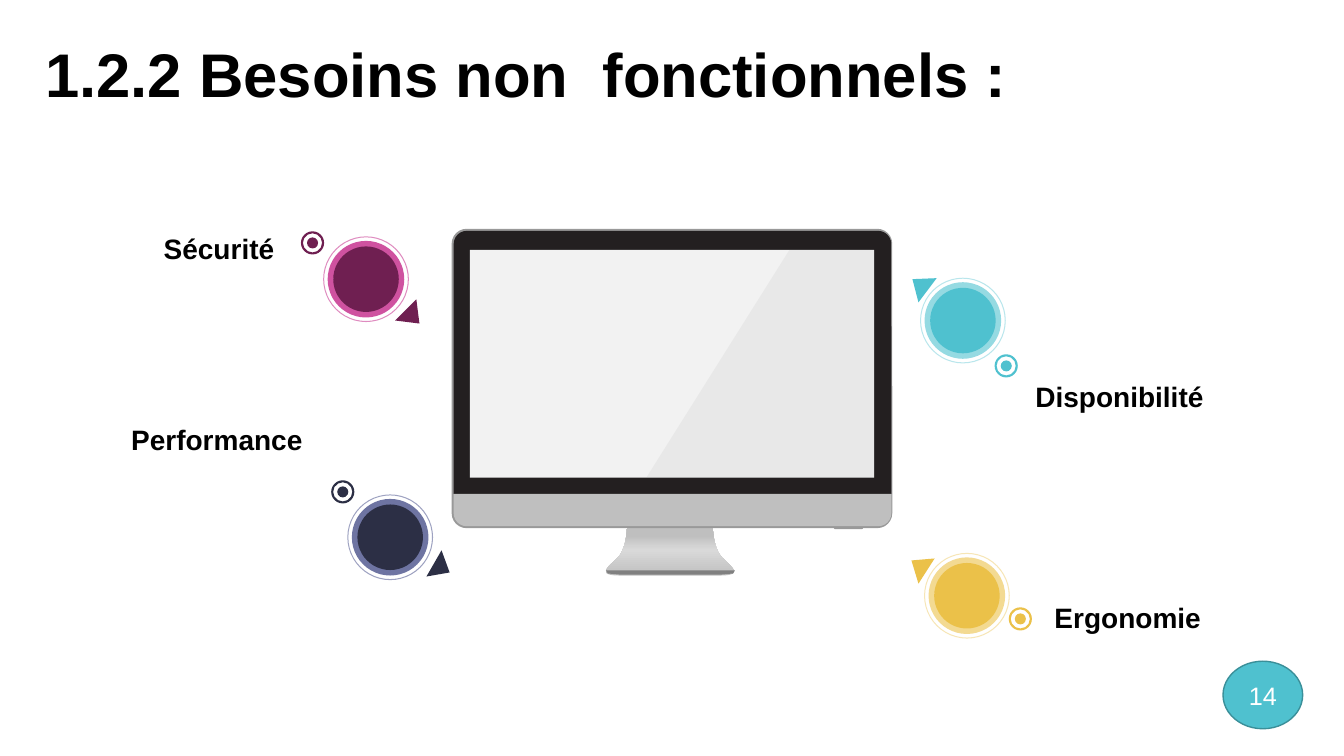
from lxml.etree import SubElement
from pptx import Presentation
from pptx.dml.color import RGBColor
from pptx.enum.shapes import MSO_SHAPE
from pptx.enum.text import MSO_ANCHOR, MSO_AUTO_SIZE, PP_ALIGN
from pptx.oxml.ns import qn
from pptx.util import Pt

EMU_PER_PX = 9144  # 100 px to the inch
FONT = "Arial"


def px(length):
    return round(length * EMU_PER_PX)


def color(hex_code):
    return RGBColor.from_string(hex_code)


def paint(shape, fill):
    shape.shadow.inherit = False
    shape.fill.solid()
    shape.fill.fore_color.rgb = color(fill)
    shape.line.fill.background()
    return shape


def add_preset(slide, preset, box, fill, adjustments=()):
    shape = slide.shapes.add_shape(preset, *map(px, box))
    for index, value in enumerate(adjustments):
        shape.adjustments[index] = value
    return paint(shape, fill)


def add_polygon(slide, points, fill):
    corners = [(px(x), px(y)) for x, y in points]
    builder = slide.shapes.build_freeform(*corners[0], scale=1.0)
    builder.add_line_segments(corners[1:], close=True)
    return paint(builder.convert_to_shape(), fill)


def add_disc(slide, center, diameter, fill, rim=0):
    """Centred circle; a rim width turns it into a ring."""
    x, y = center
    box = (x - diameter / 2, y - diameter / 2, diameter, diameter)
    if rim:
        return add_preset(slide, MSO_SHAPE.DONUT, box, fill, [rim / diameter])
    return add_preset(slide, MSO_SHAPE.OVAL, box, fill)


def write(frame, text, size, text_color, align=PP_ALIGN.LEFT, bold=False):
    paragraph = frame.paragraphs[0]
    paragraph.alignment = align
    run = paragraph.add_run()
    run.text = text
    run.font.name = FONT
    run.font.size = Pt(size)
    run.font.bold = bold
    run.font.color.rgb = color(text_color)
    return paragraph


def bezier(start, control1, control2, end, steps=12):
    """Points along a cubic curve, both ends included."""
    return [
        tuple((1 - t) ** 3 * a + 3 * (1 - t) ** 2 * t * b
              + 3 * (1 - t) * t ** 2 * c + t ** 3 * d
              for a, b, c, d in zip(start, control1, control2, end))
        for t in (step / steps for step in range(steps + 1))
    ]


def shade_vertically(shape, stops):
    """Gradient running from the bottom to the top."""
    shape.fill.gradient()
    shape.fill.gradient_angle = 90
    stop_list = shape.fill._fill._gradFill.find(qn("a:gsLst"))
    for stop in list(stop_list):
        stop_list.remove(stop)
    for percent, hex_code in stops:
        stop = SubElement(stop_list, qn("a:gs"), pos=str(percent * 1000))
        SubElement(stop, qn("a:srgbClr"), val=hex_code)


def set_opacity(shape, percent):
    tint = shape.fill._xPr.find(qn("a:solidFill")).find(qn("a:srgbClr"))
    SubElement(tint, qn("a:alpha"), val=str(percent * 1000))


def add_monitor(slide):
    left_flare = (bezier((622, 523), (622, 523), (622, 543), (613, 553))
                  + bezier((613, 553), (604, 562), (590, 571), (615, 571)))
    axis = 664.5
    right_flare = [(2 * axis - x, y) for x, y in reversed(left_flare)]
    stand = add_polygon(slide, left_flare + right_flare, "BFBFBF")
    shade_vertically(stand, [(0, "BFBFBF"), (53, "D9D9D9"), (83, "BFBFBF"), (100, "BFBFBF")])

    rounded_ends = MSO_SHAPE.ROUND_2_SAME_RECTANGLE
    add_preset(slide, MSO_SHAPE.ROUNDED_RECTANGLE, (448, 227, 437, 297), "999999", [0.05])
    add_preset(slide, rounded_ends, (827, 522, 29, 3), "999999", [0, 0.5])
    add_preset(slide, rounded_ends, (450, 229, 434, 261), "231F20", [0.05, 0])
    add_polygon(slide, [(601, 566), (729, 566), (727, 569), (716, 570), (614, 570), (603, 569)],
                "808080")
    add_preset(slide, rounded_ends, (450, 490, 434, 32), "BFBFBF", [0, 0.4])
    add_preset(slide, MSO_SHAPE.RECTANGLE, (466, 248, 401, 226), "F2F2F2")
    glare = add_polygon(slide, [(783, 248), (867, 248), (867, 474), (641, 474)], "999999")
    set_opacity(glare, 10)


def add_badge(slide, center, dot_center, pointer, main, band, halo):
    """Ringed disc with a pointer towards the monitor and a target dot."""
    add_disc(slide, center, 76, band, rim=6)
    add_disc(slide, center, 85, halo, rim=1)
    add_disc(slide, center, 65, main)
    add_polygon(slide, pointer, main)
    add_disc(slide, dot_center, 11, main)
    add_disc(slide, dot_center, 23, main, rim=2)


def add_label(slide, text, box, align):
    label = slide.shapes.add_textbox(*map(px, box))
    label.text_frame.word_wrap = False
    label.text_frame.auto_size = MSO_AUTO_SIZE.SHAPE_TO_FIT_TEXT
    write(label.text_frame, text, 20, "000000", align, bold=True)


def add_title(slide, text):
    title = slide.shapes.add_textbox(*map(px, (35, 37, 1266, 79)))
    title.text_frame.word_wrap = True
    title.text_frame.vertical_anchor = MSO_ANCHOR.MIDDLE
    write(title.text_frame, text, 44, "000000", bold=True).line_spacing = 0.9


def add_page_number(slide, number):
    bubble = add_preset(slide, MSO_SHAPE.OVAL, (1213, 656, 79, 67), "4FC1CF")
    bubble.line.color.rgb = color("3A8F99")
    bubble.line.width = Pt(1)
    bubble.text_frame.vertical_anchor = MSO_ANCHOR.MIDDLE
    write(bubble.text_frame, number, 18, "FFFFFF", PP_ALIGN.CENTER)


def main():
    deck = Presentation()
    deck.slide_width, deck.slide_height = px(1333), px(750)
    slide = deck.slides.add_slide(deck.slide_layouts[6])

    add_monitor(slide)
    add_title(slide, "1.2.2 Besoins non  fonctionnels :")

    needs = [
        ("Sécurité", (151, 225, 131, 44), PP_ALIGN.RIGHT, (363, 277), (310, 241),
         [(413, 297), (392, 318), (416, 321)], ("6F1F51", "CF52A0", "DF8CC0")),
        ("Performance", (118, 414, 192, 44), PP_ALIGN.RIGHT, (387, 533), (340, 488),
         [(438, 546), (423, 572), (446, 568)], ("2C2F45", "6E74A2", "9EA2C1")),
        ("Disponibilité", (1017, 372, 188, 44), PP_ALIGN.LEFT, (955, 318), (998, 363),
         [(929, 276), (905, 277), (911, 300)], ("4FC1CF", "95DAE2", "B9E6EC")),
        ("Ergonomie", (1036, 591, 167, 44), PP_ALIGN.LEFT, (959, 591), (1012, 614),
         [(927, 554), (904, 556), (911, 579)], ("EBC149", "F3DA92", "F7E6B6")),
    ]
    for name, label_box, align, center, dot_center, pointer, shades in needs:
        add_badge(slide, center, dot_center, pointer, *shades)
        add_label(slide, name, label_box, align)

    add_page_number(slide, "14")
    deck.save("out.pptx")


if __name__ == "__main__":
    main()
